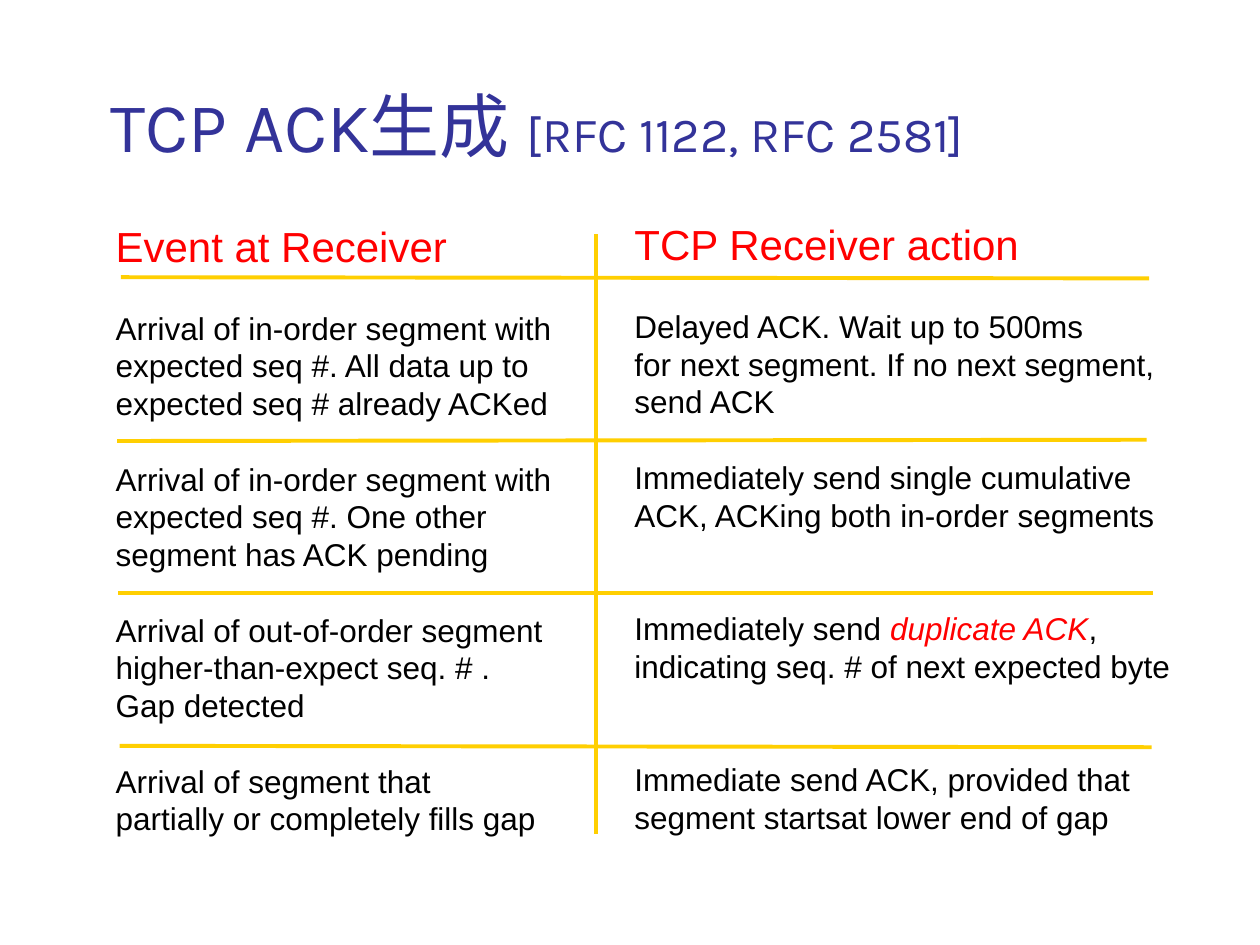
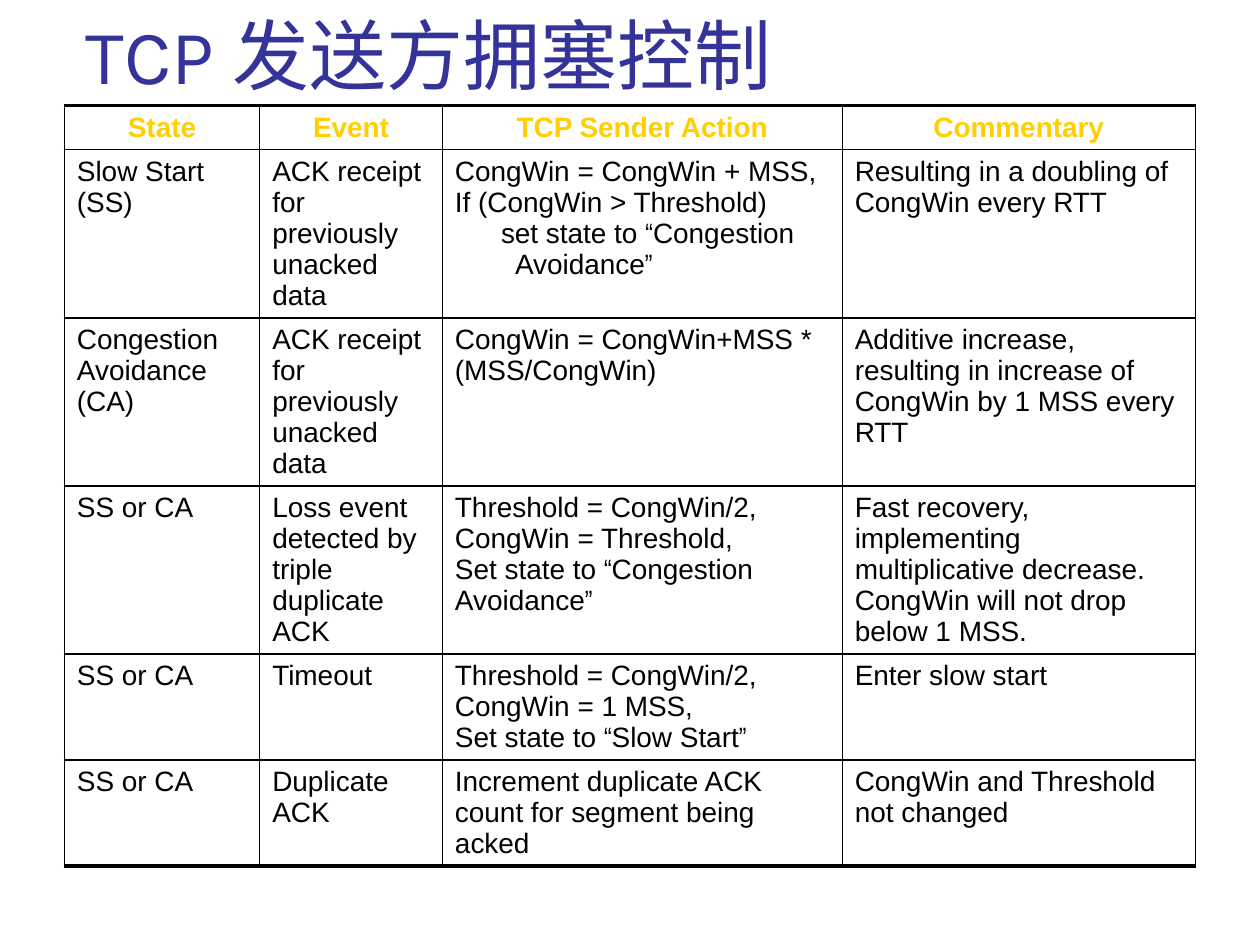
"""Build two slides on TCP acknowledgement generation and sender congestion control."""
import pptx
import pptx.dml.color
import pptx.enum.shapes
import pptx.enum.text
import pptx.oxml
import pptx.oxml.ns
import pptx.util

Pt = pptx.util.Pt
ALIGN = pptx.enum.text.PP_ALIGN
ANCHOR = pptx.enum.text.MSO_ANCHOR

COLORS = {"title": "333399", "heading": "FF0000", "body": "000000", "rule": "FFCF01", "border": "000000"}
TITLE_FONT, BODY_FONT, QUOTE_FONT = "Karla", "Arial", "Arial Narrow"
OPEN, CLOSE = ("“", {"font": QUOTE_FONT}), ("”", {"font": QUOTE_FONT})

ACK_TITLE = ("TCP ACK生成", (" ", {"size": 44}), ("[RFC 1122, RFC 2581]", {"size": 28}))
ACK_TITLE_BOX = (56.2, 9.4, 613.4, 90)
ACK_COLUMNS = [
    {
        "box": (59, 122.4, 274, 394),
        "heading": "Event at Receiver",
        "entries": [
            ["Arrival of in-order segment with", "expected seq #. All data up to",
             "expected seq # already ACKed"],
            ["Arrival of in-order segment with", "expected seq #. One other",
             "segment has ACK pending"],
            ["Arrival of out-of-order segment", "higher-than-expect seq. # .", "Gap detected"],
            ["Arrival of segment that", "partially or completely fills gap"],
        ],
    },
    {
        "box": (355.5, 121.5, 332, 394),
        "heading": "TCP Receiver action",
        "entries": [
            ["Delayed ACK. Wait up to 500ms", "for next segment. If no next segment,", "send ACK"],
            ["Immediately send single cumulative", "ACK, ACKing both in-order segments"],
            [("Immediately send ", ("duplicate ACK", {"color": "heading", "italic": True}), ","),
             "indicating seq. # of next expected byte"],
            ["Immediate send ACK, provided that", "segment startsat lower end of gap"],
        ],
    },
]
ENTRY_LINES, HEADING_LEADING, LEADING = 4, 28.8, 21.57
ACK_RULES = [
    (69.1, 158.4, 656.6, 159.1),
    (67, 252, 655.2, 251.3),
    (67.7, 339.1, 658.8, 339.1),
    (68.4, 426.2, 658.1, 427),
    (340.6, 133.9, 340.6, 476.6),
]

CONGESTION_TITLE = "TCP 发送方拥塞控制"
CONGESTION_TITLE_BOX = (41.8, 0, 612, 60.5)
CONGESTION_HEADER = ["State", "Event", "TCP Sender Action", "Commentary"]
CONGESTION_ROWS = [
    ["Slow Start (SS)", "ACK receipt for previously unacked data",
     ["CongWin = CongWin + MSS,", "If (CongWin > Threshold)",
      {"indent": 26.3, "runs": ("set state to ", OPEN, "Congestion")},
      {"indent": 34.3, "runs": ("Avoidance", CLOSE)}],
     "Resulting in a doubling of CongWin every RTT"],
    [["Congestion", "Avoidance (CA)"], "ACK receipt for previously unacked data",
     "CongWin = CongWin+MSS * (MSS/CongWin)",
     "Additive increase, resulting in increase of CongWin by 1 MSS every RTT"],
    ["SS or CA", "Loss event detected by triple duplicate ACK",
     ["Threshold = CongWin/2,", "CongWin = Threshold,",
      ("Set state to ", OPEN, "Congestion Avoidance", CLOSE)],
     "Fast recovery, implementing multiplicative decrease. CongWin will not drop below 1 MSS."],
    ["SS or CA", "Timeout",
     ["Threshold = CongWin/2,", "CongWin = 1 MSS,", ("Set state to ", OPEN, "Slow Start", CLOSE)],
     "Enter slow start"],
    ["SS or CA", "Duplicate ACK", "Increment duplicate ACK count for segment being acked",
     "CongWin and Threshold not changed"],
]
CONGESTION_ORIGIN = (36.8, 60.5)
COLUMN_WIDTHS = [111.6, 104.4, 228.5, 201.8]
ROW_HEIGHTS = [25, 96, 96, 96, 60.5, 60.5]


def write(frame, lines, size=18, font=BODY_FONT, color="body", bold=False, italic=False,
          align=ALIGN.LEFT, leading=None, before=0):
    """Append paragraphs; each is a string, a tuple of runs, or a dict with an indent."""
    for number, line in enumerate(lines if isinstance(lines, list) else [lines]):
        fresh = len(frame.paragraphs) == 1 and not frame.paragraphs[0].runs
        paragraph = frame.paragraphs[0] if fresh else frame.add_paragraph()
        paragraph.alignment = align
        paragraph.space_before = Pt(0 if number else before)
        if leading:
            paragraph.line_spacing = Pt(leading)
        if isinstance(line, dict):
            paragraph._p.get_or_add_pPr().set("marL", str(Pt(line["indent"])))
            line = line["runs"]
        for part in line if isinstance(line, tuple) else (line,):
            words, changes = part if isinstance(part, tuple) else (part, {})
            style = {"size": size, "font": font, "color": color, "bold": bold, "italic": italic, **changes}
            run = paragraph.add_run()
            run.text = words
            run.font.size = Pt(style["size"])
            run.font.name = style["font"]
            run.font.bold = style["bold"]
            run.font.italic = style["italic"]
            run.font.color.rgb = pptx.dml.color.RGBColor.from_string(COLORS[style["color"]])


def titled_slide(deck, title, box, size):
    """Add a title-only slide with its title set in the shared style."""
    slide = deck.slides.add_slide(deck.slide_layouts[5])
    heading = slide.shapes.title
    heading.left, heading.top, heading.width, heading.height = map(Pt, box)
    frame = heading.text_frame
    frame.auto_size = pptx.enum.text.MSO_AUTO_SIZE.NONE
    frame.word_wrap = True
    frame.vertical_anchor = ANCHOR.BOTTOM
    write(frame, title, size=size, font=TITLE_FONT, color="title")
    return slide


def add_ack_column(slide, column):
    """Add a heading and its entries, each entry starting a fixed number of lines apart."""
    frame = slide.shapes.add_textbox(*map(Pt, column["box"])).text_frame
    frame.word_wrap = True
    write(frame, column["heading"], size=24, color="heading", leading=HEADING_LEADING)
    gap = LEADING
    for entry in column["entries"]:
        write(frame, entry, leading=LEADING, before=gap)
        gap = (ENTRY_LINES - len(entry)) * LEADING


def add_rule(slide, ends):
    """Draw one yellow divider."""
    rule = slide.shapes.add_connector(pptx.enum.shapes.MSO_CONNECTOR.STRAIGHT, *map(Pt, ends))
    rule.line.width = Pt(2.25)
    rule.line.color.rgb = pptx.dml.color.RGBColor.from_string(COLORS["rule"])
    rule._element.spPr.append(pptx.oxml.parse_xml(f'<a:effectLst {pptx.oxml.ns.nsdecls("a")}/>'))


def set_borders(cell, top, bottom):
    """Outline a cell with thin sides and the given top and bottom widths."""
    sides = [("L", 0.75), ("R", 0.75), ("T", top), ("B", bottom)]
    for place, (side, width) in enumerate(sides):
        border = pptx.oxml.parse_xml(
            f'<a:ln{side} {pptx.oxml.ns.nsdecls("a")} w="{Pt(width)}"><a:solidFill>'
            f'<a:srgbClr val="{COLORS["border"]}"/></a:solidFill></a:ln{side}>')
        cell._tc.get_or_add_tcPr().insert(place, border)


def add_congestion_table(slide):
    """Add the table of sender states, events and actions."""
    rows = [CONGESTION_HEADER, *CONGESTION_ROWS]
    extent = (sum(COLUMN_WIDTHS), sum(ROW_HEIGHTS))
    table = slide.shapes.add_table(len(rows), len(COLUMN_WIDTHS),
                                   *map(Pt, CONGESTION_ORIGIN + extent)).table
    table.first_row = table.horz_banding = False
    for column, width in zip(table.columns, COLUMN_WIDTHS):
        column.width = Pt(width)
    for number, (row, height) in enumerate(zip(rows, ROW_HEIGHTS)):
        table.rows[number].height = Pt(height)
        is_header, is_last = number == 0, number == len(rows) - 1
        style = {"color": "rule", "bold": True, "align": ALIGN.CENTER} if is_header else {}
        for position, content in enumerate(row):
            cell = table.cell(number, position)
            cell.fill.background()
            set_borders(cell, top=2 if is_header else 1, bottom=2 if is_last else 1)
            write(cell.text_frame, content, size=16, **style)


def main():
    """Build and save both slides."""
    deck = pptx.Presentation()
    deck.slide_width, deck.slide_height = Pt(720), Pt(540)

    ack = titled_slide(deck, ACK_TITLE, ACK_TITLE_BOX, size=40)
    for column in ACK_COLUMNS:
        add_ack_column(ack, column)
    for ends in ACK_RULES:
        add_rule(ack, ends)

    congestion = titled_slide(deck, CONGESTION_TITLE, CONGESTION_TITLE_BOX, size=44)
    add_congestion_table(congestion)

    deck.save("out.pptx")


if __name__ == "__main__":
    main()
